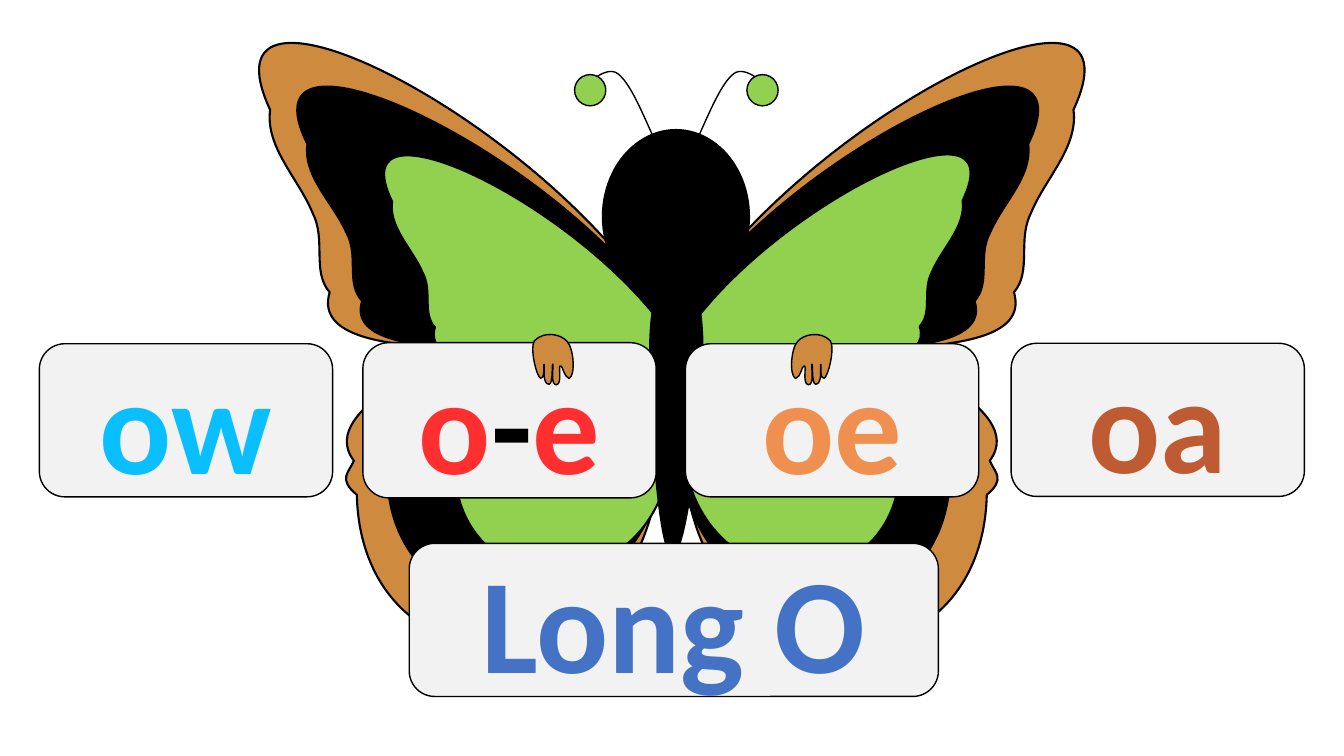
from lxml.etree import SubElement
from pptx import Presentation
from pptx.dml.color import RGBColor
from pptx.enum.shapes import MSO_SHAPE
from pptx.enum.text import MSO_ANCHOR, PP_ALIGN
from pptx.oxml.ns import qn
from pptx.util import Pt

BLACK = RGBColor(0x00, 0x00, 0x00)
BROWN = RGBColor(0xCE, 0x8B, 0x3F)
GREEN = RGBColor(0x92, 0xD0, 0x50)
CARD_GRAY = RGBColor(0xF2, 0xF2, 0xF2)
SKY = RGBColor(0x09, 0xBF, 0xFF)
RED = RGBColor(0xFF, 0x2F, 0x2F)
ORANGE = RGBColor(0xF0, 0x90, 0x50)
RUST = RGBColor(0xBE, 0x5B, 0x33)
BLUE = RGBColor(0x44, 0x72, 0xC4)

# Outlines in points, relative to their start: one point is a line, three a Bézier curve
WING = [
    [(-55.4, -119.5), (194.4, 5.8), (280.8, 146.9)],
    [(278.6, 244.1)],
    [(272.9, 421.2), (65.5, 425.5), (61.9, 275)],
    [(48.2, 263.5), (56.2, 259.2), (59.8, 250.6)],
    [(30.2, 211.7), (141.1, 174.2), (129.6, 170.6)],
    [(88.6, 167.8), (32.4, 164.2), (42.5, 130.3)],
    [(29.5, 115.2), (40.3, 92.9), (30.2, 73.4)],
    [(20.2, 49), (-3.6, 26.6), (0, 0)],
]
BODY = [
    [(0, -35.2), (8.6, -66.9), (18.7, -66.9)],
    [(28.8, -66.9), (37.4, -36.7), (37.4, 0)],
    [(37.4, 37.5), (26.6, 146.2), (15.8, 146.2)],
    [(5.8, 146.2), (-0.7, 36), (0, 0)],
]
ANTENNA = [
    [(9.4, -20.9), (18, -41.8), (26.7, -48.2)],
    [(35.3, -54.7), (50.4, -38.9), (50.4, -38.9)],
]
HAND = [
    [(-3.6, -4.3), (4.3, -21.6), (10.1, -24.5)],
    [(15.8, -28.1), (28.1, -26.6), (32.4, -17.3)],
    [(33.8, -10.8), (22.3, 6.5), (19.4, 6.5)],
    [(15.8, 5), (21.6, -4.3), (20.2, -3.6)],
    [(19.4, -2.9), (17.3, 10.1), (12.2, 8.6)],
    [(9.4, 7.2), (15.8, -7.2), (14.4, -5.8)],
    [(13, -3.6), (11.5, 8.6), (7.2, 7.2)],
    [(2.9, 5), (11.5, -7.2), (8.6, -6.5)],
    [(7.2, -7.2), (4.3, 0), (0, 0)],
]

presentation = Presentation()
presentation.slide_width = Pt(960)
presentation.slide_height = Pt(540)
slide = presentation.slides.add_slide(presentation.slide_layouts[6])
shapes = slide.shapes


def style(shape, fill, line_width):
    shape.shadow.inherit = False
    if fill is None:
        shape.fill.background()
    else:
        shape.fill.solid()
        shape.fill.fore_color.rgb = fill
    shape.line.color.rgb = BLACK
    shape.line.width = Pt(line_width)
    return shape


def draw_outline(outline, x, y, fill, line_width, scale_x=1, scale_y=1):
    segments = [[(x + scale_x * dx, y + scale_y * dy) for dx, dy in segment]
                for segment in outline]

    # Find the frame that the curves really fill
    touched = [(x, y)]
    for segment in segments:
        if len(segment) == 3:
            controls = [touched[-1], *segment]
            for t in (step / 20 for step in range(1, 20)):
                weights = ((1 - t) ** 3, 3 * t * (1 - t) ** 2, 3 * t ** 2 * (1 - t), t ** 3)
                touched.append(tuple(
                    sum(weight * control[axis] for weight, control in zip(weights, controls))
                    for axis in (0, 1)))
        touched.append(segment[-1])
    left, top = (min(values) for values in zip(*touched))
    right, bottom = (max(values) for values in zip(*touched))
    builder = shapes.build_freeform(Pt(left), Pt(top))
    builder.add_line_segments([(Pt(right), Pt(bottom))], close=False)
    shape = builder.convert_to_shape()

    # Put the curves into the frame
    geometry = next(shape.element.iter(qn("a:path")))
    for command in list(geometry):
        geometry.remove(command)
    for points in [[(x, y)], *segments]:
        tag = "a:cubicBezTo" if len(points) == 3 else "a:lnTo"
        command = SubElement(geometry, qn(tag if len(geometry) else "a:moveTo"))
        for point_x, point_y in points:
            SubElement(command, qn("a:pt"),
                       x=str(int(Pt(point_x - left))), y=str(int(Pt(point_y - top))))
    if fill is not None:
        SubElement(geometry, qn("a:close"))
    return style(shape, fill, line_width)


# Wings: the same outline in three layers, mirrored by a negative scale
for x, y, scale_x, scale_y, color in [
    (193, 78.5, 1, 1, BROWN),
    (766.8, 78.5, -1, 1, BROWN),
    (734.4, 103, -0.9, 0.86, BLACK),
    (219.6, 103, 0.92, 0.86, BLACK),
    (687.6, 143.3, -0.72, 0.69, GREEN),
    (280.1, 144, 0.72, 0.69, GREEN),
]:
    draw_outline(WING, x, y, color, 1.5, scale_x, scale_y)

# Body and head
draw_outline(BODY, 464.4, 249.8, BLACK, 1.5)
head = shapes.add_shape(MSO_SHAPE.OVAL, Pt(430.6), Pt(92.9), Pt(104.4), Pt(123.8))
style(head, BLACK, 1.5)

# Antennae with round tips
for base_x, direction, tip_left in [(497.5, 1, 533.5), (468, -1, 410.4)]:
    draw_outline(ANTENNA, base_x, 100.8, None, 1, direction)
    tip = shapes.add_shape(MSO_SHAPE.OVAL, Pt(tip_left), Pt(53.3), Pt(22.3), Pt(22.3))
    style(tip, GREEN, 1)

# Spelling cards and title card
for left, top, width, height, runs in [
    (28.1, 245.5, 209.5, 109.4, [("ow", SKY)]),
    (259.2, 244.8, 209.5, 110.9, [("o", RED), ("-", BLACK), ("e", RED)]),
    (489.6, 245.5, 209.5, 109.4, [("oe", ORANGE)]),
    (722.2, 245.2, 209.5, 109.4, [("oa", RUST)]),
    (292.3, 388.1, 378, 109.4, [("Long O", BLUE)]),
]:
    card = shapes.add_shape(
        MSO_SHAPE.ROUNDED_RECTANGLE, Pt(left), Pt(top), Pt(width), Pt(height))
    style(card, CARD_GRAY, 1)
    card.text_frame.vertical_anchor = MSO_ANCHOR.MIDDLE
    paragraph = card.text_frame.paragraphs[0]
    paragraph.alignment = PP_ALIGN.CENTER
    paragraph.font.name = "Calibri"
    paragraph.font.size = Pt(96)
    paragraph.font.bold = True
    for text, color in runs:
        run = paragraph.add_run()
        run.text = text
        run.font.color.rgb = color

# Hands holding the middle cards
for x, direction in [(564.5, 1), (410.4, -1)]:
    hand = draw_outline(HAND, x, 265.7, BROWN, 1, direction)
    hand.rotation = -19.3 * direction

presentation.save("out.pptx")
